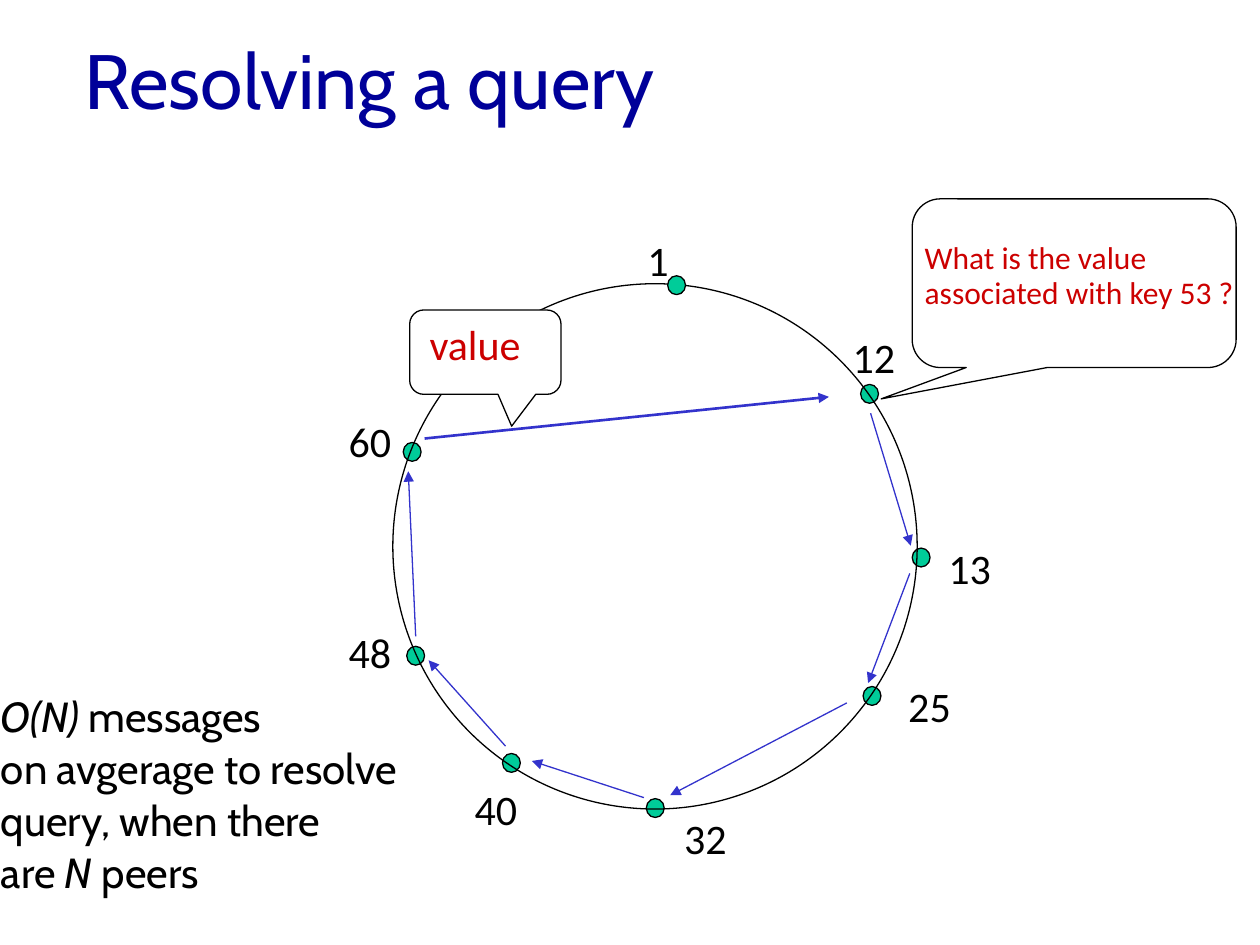
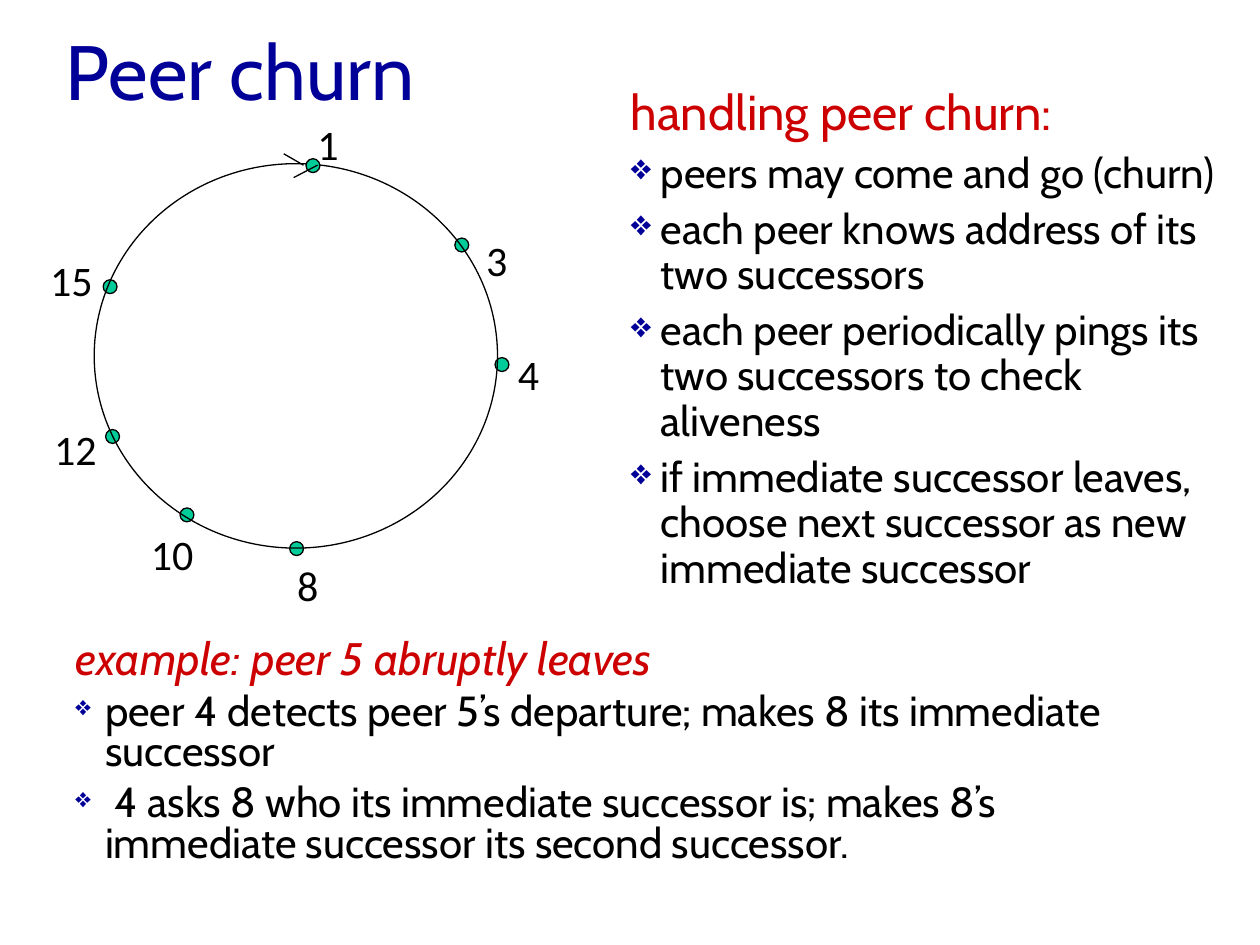
from lxml import etree
from pptx import Presentation
from pptx import util as u
from pptx.dml.color import RGBColor
from pptx.enum import shapes, text
from pptx.oxml.ns import qn

BLACK, NAVY, RED = "000000", "000099", "CC0000"
GREEN, BLUE, WHITE = "00CC99", "3333CC", "FFFFFF"


def hue(code):
    return RGBColor.from_string(code)


def write(frame, lines, wrap=True):
    frame.word_wrap = wrap
    frame.auto_size = text.MSO_AUTO_SIZE.NONE
    for n, (words, style) in enumerate(lines):
        para = frame.paragraphs[0] if n == 0 else frame.add_paragraph()
        if "*" in words:
            for i, bit in enumerate(words.split("*")):
                if bit:
                    run = para.add_run()
                    run.text = bit
                    run.font.italic = i % 2 == 1
        else:
            para.text = words
        if "mark" in style:
            props = para._p.get_or_add_pPr()
            props.set("marL", str(u.Cm(0.6)))
            props.set("indent", str(-u.Cm(0.6)))
            tint = etree.SubElement(props, qn("a:buClr"))
            etree.SubElement(tint, qn("a:srgbClr"), val=NAVY)
            etree.SubElement(props, qn("a:buSzPct"), val=str(style["mark"] * 1000))
            etree.SubElement(props, qn("a:buChar"), char="❖")
        para.alignment = text.PP_ALIGN.LEFT
        for key, val in style.get("para", {}).items():
            if key != "space_before" or n:
                setattr(para, key, val)
        for run in para.runs:
            for key, val in style["font"].items():
                setattr(run.font, key, val)
            run.font.color.rgb = hue(style["color"])


head = {"font": {"name": "Cabin", "size": u.Pt(44)}, "color": NAVY}
label = {"font": {"name": "Calibri", "size": u.Pt(24)}, "color": BLACK}
reply = {**label, "color": RED}
ask = {"font": {"name": "Calibri", "size": u.Pt(18)}, "color": RED,
       "para": {"line_spacing": u.Pt(20)}}
body = {"font": {"name": "Cabin", "size": u.Pt(24)}, "color": BLACK}
note = {**body, "para": {"line_spacing": u.Pt(23.7), "space_before": u.Pt(6)}}
point = {**body, "mark": 85,
         "para": {"line_spacing": u.Pt(26), "space_before": u.Pt(6)}}
step = {**body, "mark": 65,
        "para": {"line_spacing": 0.8, "space_before": u.Pt(6)}}
topic = {"font": {"name": "Cabin", "size": u.Pt(28)}, "color": RED}
case = {"font": {"name": "Cabin", "size": u.Pt(26), "italic": True},
        "color": RED, "para": {"line_spacing": 0.8}}

pages = [
    {
        "title": ("Resolving a query", (1.45, 0, 21.59, 3.18)),
        "ring": (7.92, 5.72, 10.57, 10.59),
        "dot": (0.36, 0.38),
        "peers": [
            ("1", 13.46, 5.56, 12.8, 4.6),
            ("12", 17.35, 7.75, 16.94, 6.55),
            ("13", 18.39, 11.05, 18.87, 10.82),
            ("25", 17.4, 13.84, 18.06, 13.59),
            ("32", 13.03, 16.1, 13.54, 16.26),
            ("40", 10.13, 15.19, 9.32, 15.67),
            ("48", 8.2, 13.03, 6.78, 12.5),
            ("60", 8.13, 8.92, 6.78, 8.26),
        ],
        "lines": [
            (17.55, 8.33, 18.36, 11, 0.75),
            (18.34, 11.56, 17.5, 13.77, 0.75),
            (17.07, 14.17, 13.51, 16.03, 0.75),
            (12.98, 16.08, 10.72, 15.34, 0.75),
            (10.19, 15.04, 8.64, 13.31, 0.75),
            (8.38, 12.83, 8.23, 9.5, 0.75),
            (8.56, 8.84, 16.71, 8, 1.5),
        ],
        "ink": BLUE,
        "arrow": True,
        "calls": [
            ((18.39, 4.01, 6.53, 3.4), (-0.596, 0.686, 0.167), None),
            ((8.26, 6.25, 3.05, 1.7), (0.174, 0.878, 0.167), WHITE),
        ],
        "texts": [
            ((18.39, 4.72, 6.76, 1.68), False,
             [("What is the value\vassociated with key 53 ?", ask)]),
            ((8.41, 6.3, 3.61, 1.27), True, [("value", reply)]),
            ((-0.23, 13.97, 9.6, 4.24), True, [
                ("*O(N) *messages", note),
                ("on avgerage to resolve", note),
                ("query, when there", note),
                ("are *N* peers", note),
            ]),
        ],
    },
    {
        "title": ("Peer churn", (1.07, 0, 22.86, 2.82)),
        "ring": (1.9, 3.3, 8.13, 7.75),
        "dot": (0.28, 0.28),
        "peers": [
            ("1", 6.17, 3.2, 6.15, 2.26),
            ("3", 9.17, 4.8, 9.55, 4.6),
            ("4", 9.98, 7.21, 10.19, 6.91),
            ("8", 5.84, 10.92, 5.74, 11.15),
            ("10", 3.63, 10.24, 2.79, 10.52),
            ("12", 2.13, 8.66, 0.84, 8.41),
            ("15", 2.08, 5.64, 0.76, 5),
        ],
        "lines": [
            (5.72, 3.1, 6.12, 3.33, 0.75),
            (6.4, 3.33, 5.92, 3.58, 0.75),
        ],
        "ink": BLACK,
        "arrow": False,
        "calls": [],
        "texts": [
            ((12.47, 1.52, 12.29, 13.61), True, [
                ("handling peer churn:", topic),
                ("peers may come and go (churn)", point),
                ("each peer knows address of its two successors", point),
                ("each peer periodically pings its two successors to check aliveness", point),
                ("if immediate successor leaves, choose next successor as new immediate successor", point),
            ]),
            ((1.27, 12.78, 22.86, 5.28), True, [
                ("example: peer 5 abruptly leaves", case),
                ("peer 4 detects peer 5’s departure; makes 8 its immediate successor", step),
                (" 4 asks 8 who its immediate successor is; makes 8’s immediate successor its second successor.", step),
            ]),
        ],
    },
]

deck = Presentation()
deck.slide_width, deck.slide_height = u.Cm(25.4), u.Cm(19.05)

for page in pages:
    slide = deck.slides.add_slide(deck.slide_layouts[5])
    words, spot = page["title"]
    title = slide.shapes.title
    for key, val in zip(("left", "top", "width", "height"), spot):
        setattr(title, key, u.Cm(val))
    title.text_frame.vertical_anchor = text.MSO_ANCHOR.MIDDLE
    write(title.text_frame, [(words, head)])

    oval = shapes.MSO_SHAPE.OVAL
    dots = [(oval, (x, y, *page["dot"]), (), GREEN)
            for _, x, y, _, _ in page["peers"]]
    ring = (oval, page["ring"], (), None)
    for kind, spot, bends, fill in dots[1:] + [ring] + dots[:1]:
        form = slide.shapes.add_shape(kind, *map(u.Cm, spot))
        form.shadow.inherit = False
        form.line.color.rgb = hue(BLACK)
        form.line.width = u.Pt(0.75)
        if fill:
            form.fill.solid()
            form.fill.fore_color.rgb = hue(fill)
        else:
            form.fill.background()

    for name, _, _, x, y in page["peers"]:
        wide = 0.94 if len(name) == 1 else 1.37
        box = slide.shapes.add_textbox(*map(u.Cm, (x, y, wide, 1.27)))
        write(box.text_frame, [(name, label)], False)

    for *ends, width in page["lines"]:
        link = slide.shapes.add_connector(
            shapes.MSO_CONNECTOR.STRAIGHT, *map(u.Cm, ends))
        link.line.color.rgb = hue(page["ink"])
        link.line.width = u.Pt(width)
        if page["arrow"]:
            etree.SubElement(link.line._get_or_add_ln(), qn("a:tailEnd"), type="triangle")
        etree.SubElement(link._element.spPr, qn("a:effectLst"))

    for spot, bends, fill in page["calls"]:
        call = slide.shapes.add_shape(
            shapes.MSO_SHAPE.ROUNDED_RECTANGULAR_CALLOUT, *map(u.Cm, spot))
        for i, bend in enumerate(bends):
            call.adjustments[i] = bend
        call.shadow.inherit = False
        call.line.color.rgb = hue(BLACK)
        call.line.width = u.Pt(0.75)
        if fill:
            call.fill.solid()
            call.fill.fore_color.rgb = hue(fill)
        else:
            call.fill.background()

    for spot, wrap, lines in page["texts"]:
        box = slide.shapes.add_textbox(*map(u.Cm, spot))
        write(box.text_frame, lines, wrap)

deck.save("out.pptx")
